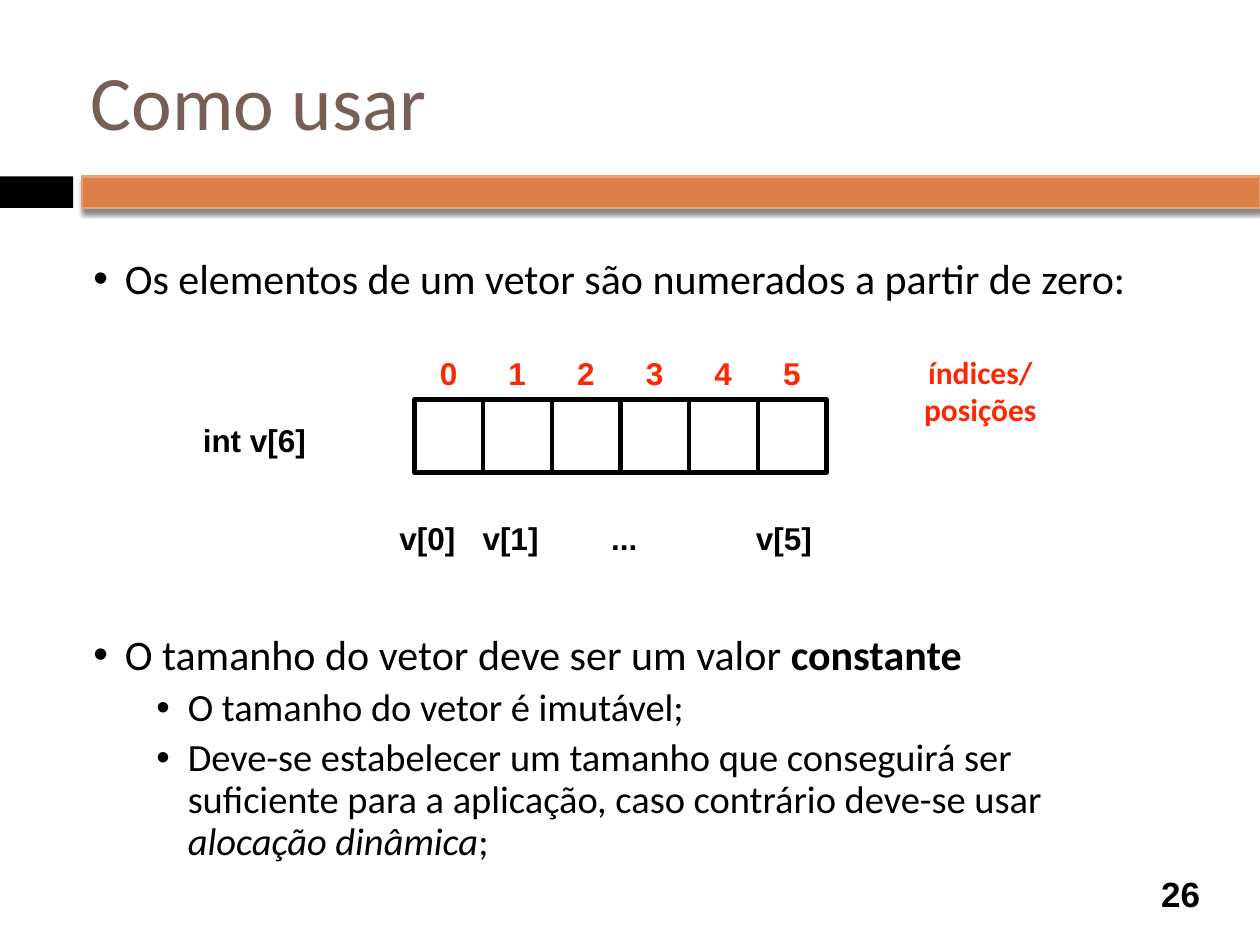
from dataclasses import dataclass

from lxml import etree
from pptx import Presentation
from pptx.dml.color import RGBColor
from pptx.enum.shapes import MSO_SHAPE
from pptx.enum.text import MSO_ANCHOR, PP_ALIGN
from pptx.oxml.ns import qn
from pptx.util import Inches, Pt

RECTANGLE = MSO_SHAPE.RECTANGLE
MIDDLE = MSO_ANCHOR.MIDDLE
TOP = MSO_ANCHOR.TOP
LEFT = PP_ALIGN.LEFT
CENTER = PP_ALIGN.CENTER


@dataclass(frozen=True)
class Theme:
    black: str = "000000"
    white: str = "FFFFFF"
    brown: str = "775F55"
    orange: str = "DD8047"
    orange_edge: str = "E5A075"
    red: str = "FF2600"
    text_font: str = "Calibri"
    code_font: str = "Arial"
    title_size: int = 44
    bullet_size: int = 24
    sub_bullet_size: int = 22
    number_size: int = 20
    label_size: int = 18


THEME = Theme()
CELL_COUNT = 6
CELL_PITCH = 0.545
ARRAY_LEFT = 3.29

BULLETS = [
    (0, 0, [("Os elementos de um vetor são numerados a partir de zero:", "")]),
    (0, 189, [("O tamanho do vetor deve ser um valor ", ""), ("constante", "bold")]),
    (1, 5, [("O tamanho do vetor é imutável;", "")]),
    (1, 5, [
        ("Deve-se estabelecer um tamanho que conseguirá ser suficiente "
         "para a aplicação, caso contrário deve-se usar ", ""),
        ("alocação dinâmica", "italic"),
        (";", ""),
    ]),
]

ELEMENT_LABELS = [(3.12, 0.56, "v[0]"), (3.78, 0.56, "v[1]"),
                  (4.8, 0.32, "..."), (5.95, 0.56, "v[5]")]


def style_font(font, name, size, color, bold=None):
    font.name = name
    font.size = Pt(size)
    font.color.rgb = RGBColor.from_string(color)
    font.bold = bold


def add_box(slide, left, top, width, height, fill, edge=None, weight=0):
    box = slide.shapes.add_shape(
        RECTANGLE, Inches(left), Inches(top), Inches(width), Inches(height))
    box.shadow.inherit = False
    box.fill.solid()
    box.fill.fore_color.rgb = RGBColor.from_string(fill)
    if edge:
        box.line.color.rgb = RGBColor.from_string(edge)
        box.line.width = Pt(weight)
    else:
        box.line.fill.background()
    return box


def add_drop_shadow(box):
    effects = box._element.spPr.find(qn("a:effectLst"))
    shadow = etree.SubElement(
        effects, qn("a:outerShdw"), blurRad=str(Pt(3)), dist=str(Pt(2.4)),
        dir="5400000", rotWithShape="0")
    color = etree.SubElement(shadow, qn("a:srgbClr"), val=THEME.black)
    etree.SubElement(color, qn("a:alpha"), val="45000")


def add_frame(slide, left, top, width, height, wrap=True, anchor=TOP):
    frame = slide.shapes.add_textbox(
        Inches(left), Inches(top), Inches(width), Inches(height)).text_frame
    frame.margin_left = frame.margin_right = Inches(0.05)
    frame.margin_top = frame.margin_bottom = Inches(0.05)
    frame.word_wrap = wrap
    frame.vertical_anchor = anchor
    return frame


def add_label(slide, left, top, width, text, color=THEME.black,
              font=THEME.code_font, size=THEME.label_size, bold=True,
              height=0.41, align=LEFT, wrap=False, anchor=TOP):
    frame = add_frame(slide, left, top, width, height, wrap, anchor)
    paragraph = frame.paragraphs[0]
    paragraph.text = text
    paragraph.alignment = align
    style_font(paragraph.font, font, size, color, bold)


def set_bullet(paragraph, level):
    paragraph.level = level
    properties = paragraph._p.get_or_add_pPr()
    properties.set("marL", str(Inches(0.25 + 0.5 * level)))
    properties.set("indent", str(Inches(-0.25)))
    etree.SubElement(properties, qn("a:buFont"), typeface="Arial")
    etree.SubElement(properties, qn("a:buChar"), char="•")


def add_bullets(slide):
    frame = add_frame(slide, 0.69, 2, 8.62, 5.18)
    sizes = (THEME.bullet_size, THEME.sub_bullet_size)
    for index, (level, space, pieces) in enumerate(BULLETS):
        paragraph = frame.add_paragraph() if index else frame.paragraphs[0]
        paragraph.line_spacing = 0.9
        paragraph.space_before = Pt(space)
        set_bullet(paragraph, level)
        style_font(paragraph.font, THEME.text_font, sizes[level], THEME.black)
        for text, emphasis in pieces:
            run = paragraph.add_run()
            run.text = text
            if emphasis:
                setattr(run.font, emphasis, True)


def add_array(slide):
    for index in range(CELL_COUNT):
        left = ARRAY_LEFT + index * CELL_PITCH
        add_box(slide, left, 3.17, CELL_PITCH, 0.58,
                THEME.white, THEME.black, 2.5)
        add_label(slide, left + 0.15, 2.76, 0.25, str(index), THEME.red)
    add_label(slide, 1.56, 3.29, 0.93, "int v[6]")
    add_label(slide, 6.87, 2.75, 1.82, "índices/posições", THEME.red,
              font=THEME.text_font, height=0.36, align=CENTER)
    for left, width, text in ELEMENT_LABELS:
        add_label(slide, left, 4.07, width, text)


def main():
    deck = Presentation()
    deck.slide_width, deck.slide_height = Inches(10), Inches(7.5)
    slide = deck.slides.add_slide(deck.slide_layouts[6])
    add_box(slide, 0, 1.4, 0.58, 0.25, THEME.black)
    add_drop_shadow(add_box(slide, 0.65, 1.4, 9.35, 0.25,
                            THEME.orange, THEME.orange_edge, 1.5))
    add_label(slide, 9.08, 6.89, 0.58, "26", size=THEME.number_size,
              align=CENTER, wrap=True, anchor=MIDDLE)
    add_bullets(slide)
    add_array(slide)
    add_label(slide, 0.67, 0.25, 8.92, "Como usar", THEME.brown,
              THEME.text_font, THEME.title_size, bold=False, height=1.08,
              wrap=True, anchor=MIDDLE)
    deck.save("out.pptx")


if __name__ == "__main__":
    main()
